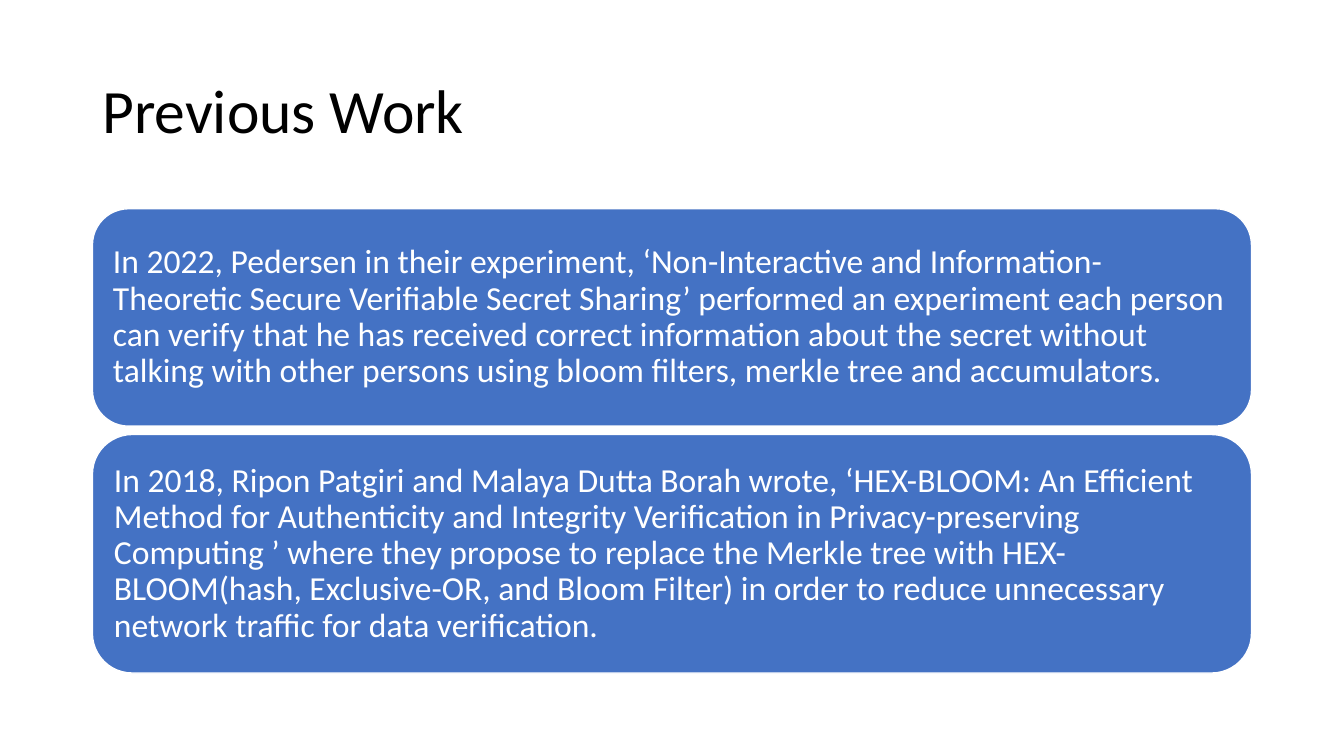
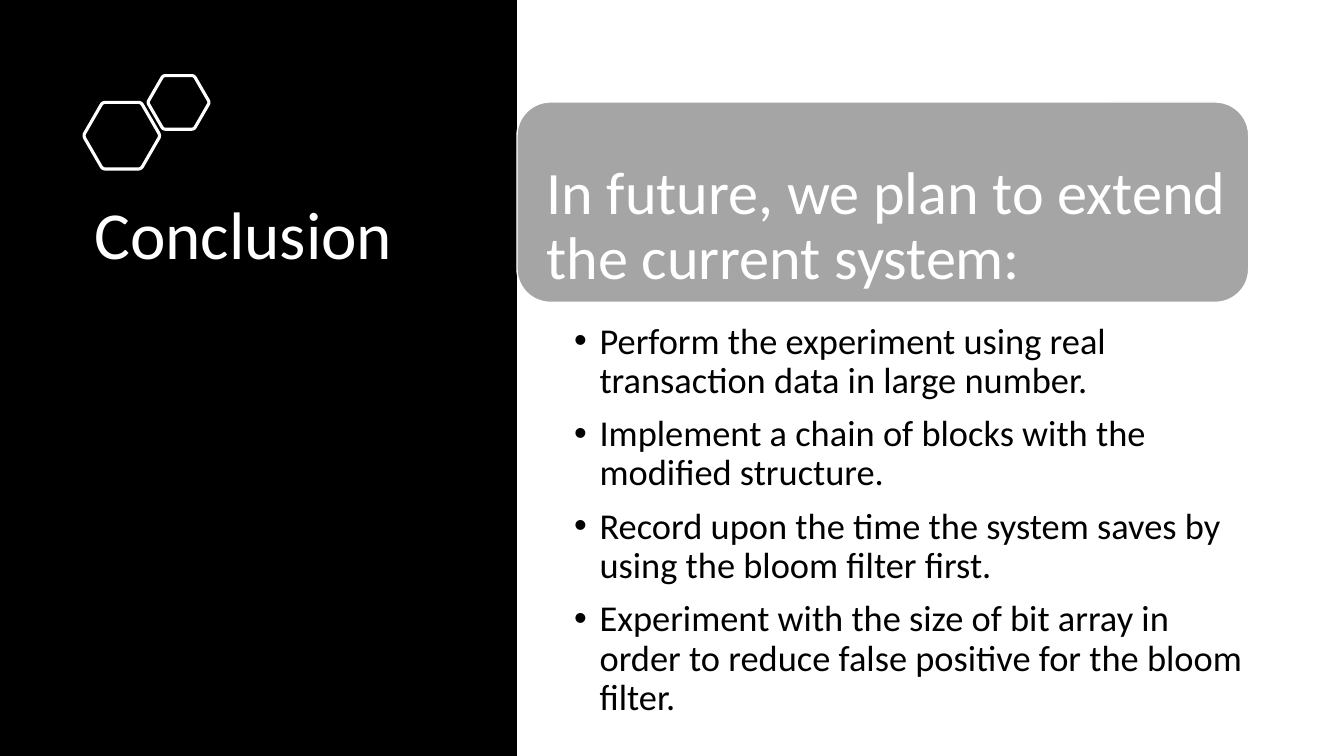
from math import cos, pi, sin

from pptx import Presentation
from pptx.dml.color import RGBColor
from pptx.enum.shapes import MSO_SHAPE
from pptx.enum.text import MSO_ANCHOR, MSO_AUTO_SIZE, PP_ALIGN
from pptx.util import Cm, Pt

BLACK, WHITE, BLUE, GRAY = "000000", "FFFFFF", "4472C4", "A5A5A5"


def tint(format, color):
    format.solid()
    format.fore_color.rgb = RGBColor.from_string(color)


def write(frame, *lines, size=24, color=WHITE, anchor=MSO_ANCHOR.MIDDLE,
          before=0, indent=0, insets=(0.25, 0.13, 0.25, 0.13)):
    frame.word_wrap = True
    frame.auto_size = MSO_AUTO_SIZE.NONE
    frame.vertical_anchor = anchor
    (frame.margin_left, frame.margin_top,
     frame.margin_right, frame.margin_bottom) = map(Cm, insets)
    for index, line in enumerate(lines):
        para = frame.add_paragraph() if index else frame.paragraphs[0]
        para.alignment = PP_ALIGN.LEFT
        para.line_spacing = 0.9
        para.space_before = Pt(before)
        if indent:
            props = para._p.get_or_add_pPr()
            props.set("marL", str(Cm(indent)))
            props.set("indent", str(-Cm(indent)))
        run = para.add_run()
        run.text = line
        run.font.name = Deck.font
        run.font.size = Pt(size)
        tint(run.font.fill, color)


class Deck:
    font = "Calibri"
    width, height = 33.87, 19.05

    def __init__(self):
        self.show = Presentation()
        self.show.slide_width = Cm(self.width)
        self.show.slide_height = Cm(self.height)
        self.slide = None

    def start(self, layout):
        self.slide = self.show.slides.add_slide(
            self.show.slide_layouts.get_by_name(layout))

    def place(self, holder, box, *lines, **style):
        holder.left, holder.top, holder.width, holder.height = map(Cm, box)
        write(holder.text_frame, *lines, **style)

    def title(self, text, box, **style):
        self.place(self.slide.shapes.title, box, text, **style)

    def list(self, lines, box, **style):
        self.place(self.slide.placeholders[1], box, *lines, **style)

    def shape(self, kind, box, color):
        shape = self.slide.shapes.add_shape(kind, *map(Cm, box))
        shape.shadow.inherit = False
        tint(shape.fill, color)
        return shape

    def panel(self, wide):
        panel = self.shape(MSO_SHAPE.RECTANGLE, (0, 0, wide, self.height), BLACK)
        panel.line.fill.background()
        panel.element.getparent().insert(2, panel.element)

    def card(self, text, box, color, **style):
        card = self.shape(MSO_SHAPE.ROUNDED_RECTANGLE, box, color)
        tint(card.line.fill, WHITE)
        card.line.width = Pt(1)
        write(card.text_frame, text, **style)

    def hexagon(self, x, y, side, cut=0.08, steps=6):
        tips = [(x + side * cos(k * pi / 3), y + side * sin(k * pi / 3))
                for k in range(6)]
        points = []
        for k, tip in enumerate(tips):
            last, after = tips[k - 1], tips[(k + 1) % 6]
            for step in range(steps + 1):
                t = step / steps
                back, ahead = cut * (1 - t) ** 2, cut * t ** 2
                points.append(tuple(
                    Cm(c + back * (a - c) + ahead * (b - c))
                    for a, c, b in zip(last, tip, after)))
        path = self.slide.shapes.build_freeform(*points[0])
        path.add_line_segments(points[1:], close=True)
        shape = path.convert_to_shape()
        shape.shadow.inherit = False
        shape.fill.background()
        tint(shape.line.fill, WHITE)
        shape.line.width = Pt(2.25)


def main():
    deck = Deck()

    deck.start("Title Only")
    left, wide = 2.33, 29.21
    deck.title("Previous Work", (left, 1.01, wide, 3.68), size=44, color=BLACK)
    works = [
        (5.26, 5.48, "In 2022, Pedersen in their experiment, ‘Non-Interactive and "
         "Information-Theoretic Secure Verifiable Secret Sharing’ performed an "
         "experiment each person can verify that he has received correct "
         "information about the secret without talking with other persons using "
         "bloom filters, merkle tree and accumulators."),
        (10.95, 6.01, "In 2018, Ripon Patgiri and Malaya Dutta Borah wrote, "
         "‘HEX-BLOOM: An Efficient Method for Authenticity and Integrity "
         "Verification in Privacy-preserving Computing ’ where they propose to "
         "replace the Merkle tree with HEX- BLOOM(hash, Exclusive-OR, and Bloom "
         "Filter) in order to reduce unnecessary network traffic for data "
         "verification."),
    ]
    for top, high, text in works:
        deck.card(text, (left, top, wide, high), BLUE)

    deck.start("Title and Content")
    edge = 13.03
    deck.panel(edge)
    deck.title("Conclusion", (2.13, 4.95, 9.96, 4.06), size=48,
               anchor=MSO_ANCHOR.TOP)
    deck.hexagon(3.07, 3.42, 0.97)
    deck.hexagon(4.5, 2.58, 0.78)
    deck.list([
        "Perform the experiment using real transaction data in large number.",
        "Implement a chain of blocks with the modified structure.",
        "Record upon the time the system saves by using the bloom filter first.",
        "Experiment with the size of bit array in order to reduce false positive "
        "for the bloom filter.",
    ], (14.22, 8, 17.53, 10.74), size=26, color=BLACK, anchor=MSO_ANCHOR.TOP,
        before=10, indent=0.64)
    deck.card("In future, we plan to extend the current system:",
              (edge, 2.57, 18.44, 5.05), GRAY, size=43, insets=(0.5, 1.3, 0, 0))

    deck.show.save("out.pptx")


if __name__ == "__main__":
    main()
